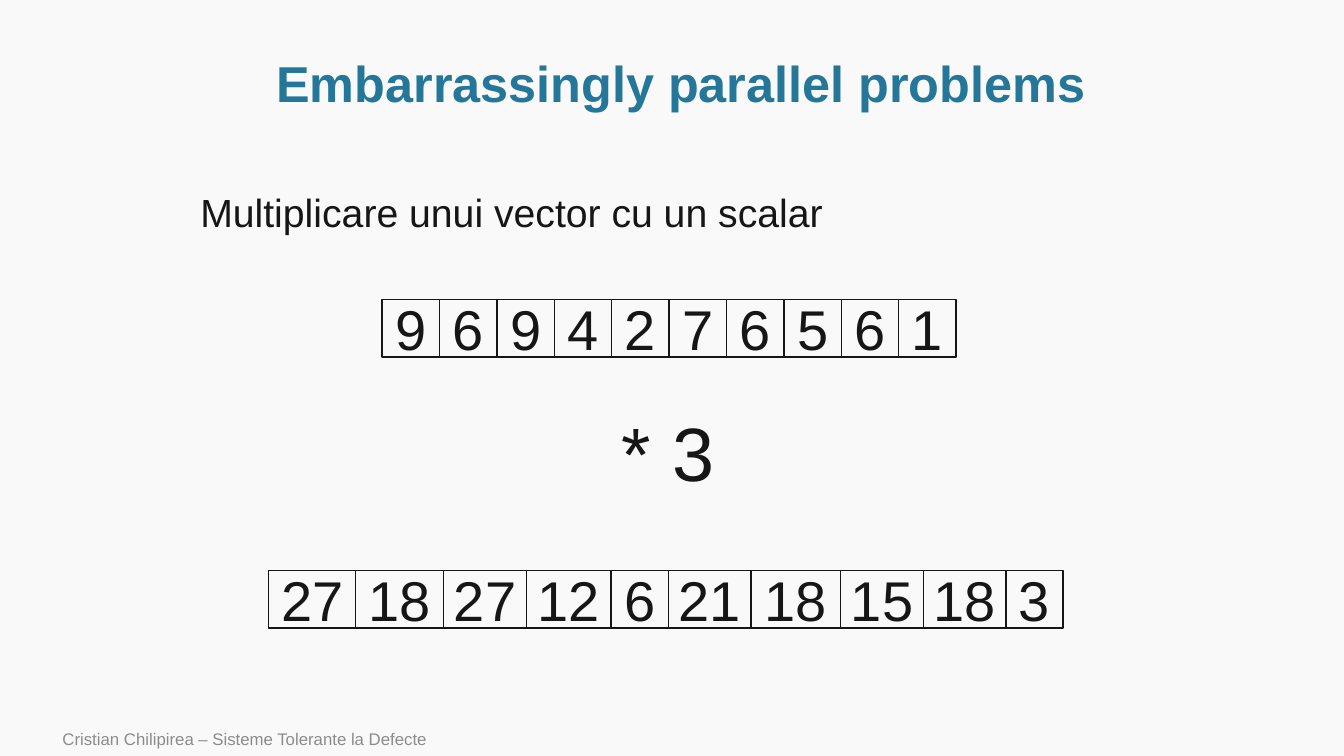
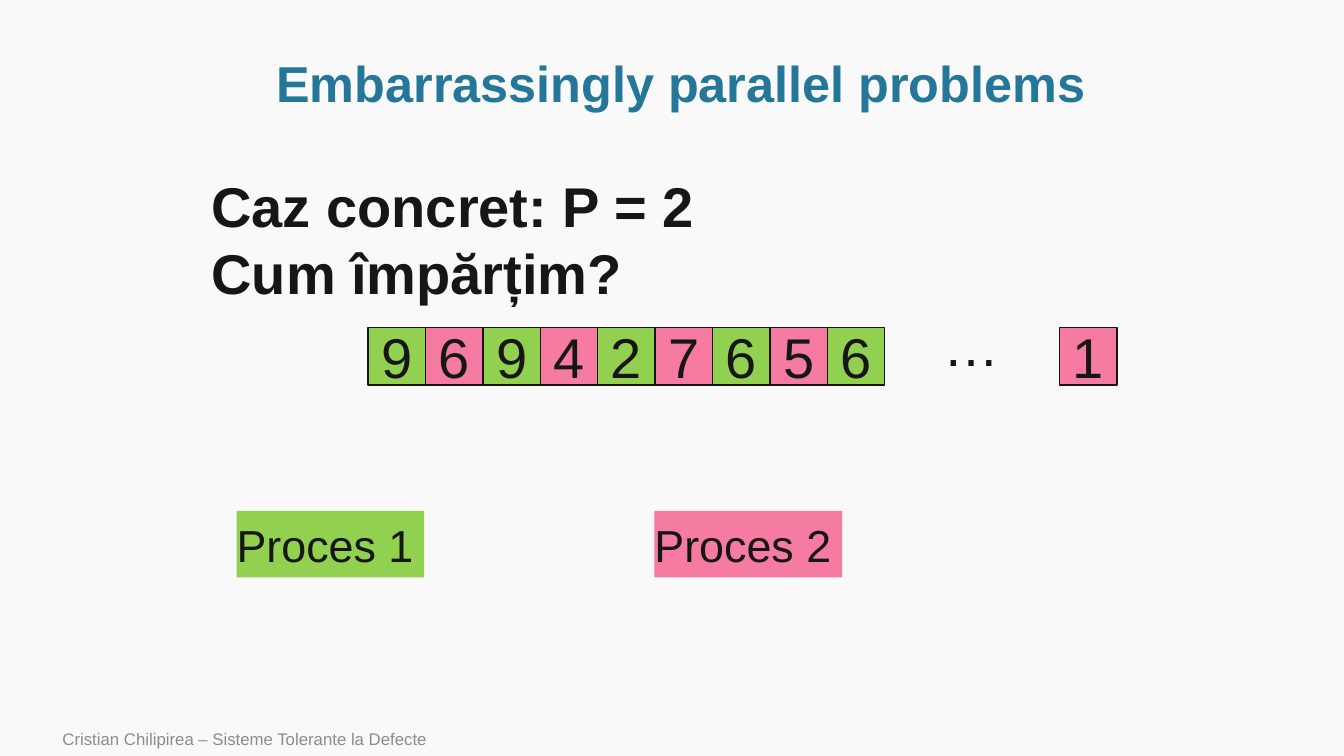
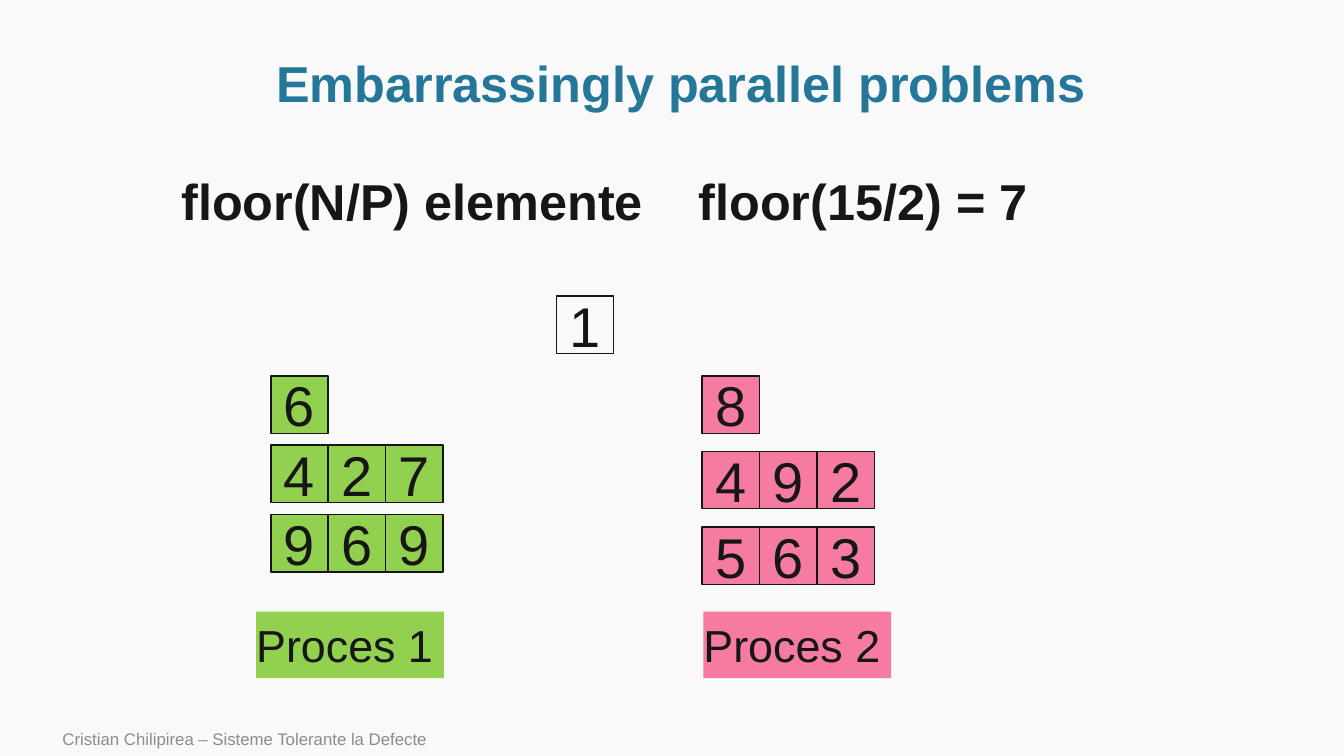
from itertools import cycle, repeat

from lxml.etree import SubElement
from pptx import Presentation
from pptx.dml.color import RGBColor
from pptx.enum.shapes import MSO_SHAPE
from pptx.enum.text import MSO_ANCHOR, MSO_AUTO_SIZE, PP_ALIGN
from pptx.oxml.ns import qn
from pptx.util import Pt

FONT = "Arial"
BACKGROUND = RGBColor(0xF9, 0xF9, 0xF9)
INK = RGBColor(0x17, 0x16, 0x16)
TITLE_BLUE = RGBColor(0x24, 0x77, 0x98)
FOOTER_GREY = RGBColor(0x8C, 0x8C, 0x8C)
GREEN = RGBColor(0x92, 0xD0, 0x50)
PINK = RGBColor(0xF5, 0x7B, 0xA1)

TITLE = "Embarrassingly parallel problems"
FOOTER = "Cristian Chilipirea – Sisteme Tolerante la Defecte"
CELL = 41


def place(shape, left, top, width, height):
    shape.left, shape.top = Pt(left), Pt(top)
    shape.width, shape.height = Pt(width), Pt(height)


def write(para, text, size, color=INK, bold=False):
    span = para.add_run()
    span.text = text
    span.font.name = FONT
    span.font.size = Pt(size)
    span.font.bold = bold
    span.font.color.rgb = color


def prepare_deck():
    """Set the slide size, background and title position for all slides."""
    deck = Presentation()
    deck.slide_width, deck.slide_height = Pt(960), Pt(540)
    fill = deck.slide_master.background.fill
    fill.solid()
    fill.fore_color.rgb = BACKGROUND
    place(deck.slide_layouts[5].placeholders[0], 72.5, 36.5, 828, 50)
    return deck


def add_page(deck):
    page = deck.slides.add_slide(deck.slide_layouts[5])
    frame = page.shapes.title.text_frame
    frame.auto_size = MSO_AUTO_SIZE.NONE
    frame.vertical_anchor = MSO_ANCHOR.MIDDLE
    para = frame.paragraphs[0]
    para.alignment = PP_ALIGN.CENTER
    para.line_spacing = 0.9
    write(para, TITLE, 36, TITLE_BLUE, bold=True)
    footer = add_text(page, 37.5, 515.5, 605, 24.5, [FOOTER], 12, FOOTER_GREY)
    footer.text_frame.vertical_anchor = MSO_ANCHOR.MIDDLE
    return page


def add_text(page, left, top, width, height, lines, size, color=INK, bold=False):
    box = page.shapes.add_textbox(Pt(left), Pt(top), Pt(width), Pt(height))
    frame = box.text_frame
    frame.word_wrap = True
    for index, line in enumerate(lines):
        para = frame.add_paragraph() if index else frame.paragraphs[0]
        write(para, line, size, color, bold)
    return box


def add_rectangle(page, left, top, width, height, text, size, fill):
    """Add a rectangle with middle-anchored text; a fill of None leaves it open."""
    box = page.shapes.add_shape(
        MSO_SHAPE.RECTANGLE, Pt(left), Pt(top), Pt(width), Pt(height))
    box.shadow.inherit = False
    if fill is None:
        box.fill.background()
    else:
        box.fill.solid()
        box.fill.fore_color.rgb = fill
    frame = box.text_frame
    frame.margin_left = frame.margin_right = 0
    frame.vertical_anchor = MSO_ANCHOR.MIDDLE
    write(frame.paragraphs[0], text, size)
    return box


def add_cells(page, left, top, values, fills=repeat(None), widths=repeat(CELL)):
    """Add a row of touching number cells."""
    for value, fill, width in zip(values, fills, widths):
        cell = add_rectangle(page, left, top, width, CELL, str(value), 40, fill)
        cell.line.color.rgb = INK
        cell.line.width = Pt(1)
        cell.text_frame.paragraphs[0].alignment = PP_ALIGN.CENTER
        left += width


def add_process(page, left, top, number, fill):
    label = add_rectangle(page, left, top, 134, 47.5, f"Proces {number}", 32, fill)
    label.line.fill.background()
    label.text_frame.paragraphs[0].alignment = PP_ALIGN.LEFT


def add_tab_stop(para, position):
    tabs = SubElement(para._p.get_or_add_pPr(), qn("a:tabLst"))
    SubElement(tabs, qn("a:tab"), pos=str(Pt(position)), algn="l")


def build_multiplication(deck):
    page = add_page(deck)
    vector = [9, 6, 9, 4, 2, 7, 6, 5, 6, 1]
    factor = 3
    add_text(page, 136, 131, 465, 41, ["Multiplicare unui vector cu un scalar"], 28)
    add_cells(page, 273, 214, vector)
    add_text(page, 437, 286.5, 90, 73, [f"* {factor}"], 54)
    add_cells(page, 192, 407.5, [value * factor for value in vector],
              widths=[62, 63, 59, 60.5, CELL, 59, 64, 59, 59, CELL])


def build_question(deck):
    page = add_page(deck)
    add_text(page, 144, 119, 446, 104, ["Caz concret: P = 2", "Cum împărțim?"],
             40, bold=True)
    add_cells(page, 263, 234, [9, 6, 9, 4, 2, 7, 6, 5, 6], cycle([GREEN, PINK]))
    add_text(page, 666.5, 218, 60, 55.5, ["…"], 40)
    add_cells(page, 757, 234, [1], [PINK])
    add_process(page, 169, 365, 1, GREEN)
    add_process(page, 467.5, 365, 2, PINK)


def build_split(deck):
    page = add_page(deck)
    heading = add_text(page, 122.5, 118, 679, 51,
                       ["floor(N/P) elemente\tfloor(15/2) = 7"], 36, bold=True)
    add_tab_stop(heading.text_frame.paragraphs[0], 369.5)
    add_cells(page, 397.5, 211.5, [1], [BACKGROUND])
    stacks = [
        (193.5, 49.5, GREEN, [[6], [4, 2, 7], [9, 6, 9]]),
        (501.5, 54, PINK, [[8], [4, 9, 2], [5, 6, 3]]),
    ]
    for left, pitch, fill, rows in stacks:
        for index, values in enumerate(rows):
            add_cells(page, left, 268.5 + index * pitch, values, repeat(fill))
    add_process(page, 183, 437, 1, GREEN)
    add_process(page, 502.5, 437, 2, PINK)


def main():
    deck = prepare_deck()
    build_multiplication(deck)
    build_question(deck)
    build_split(deck)
    deck.save("out.pptx")


if __name__ == "__main__":
    main()
